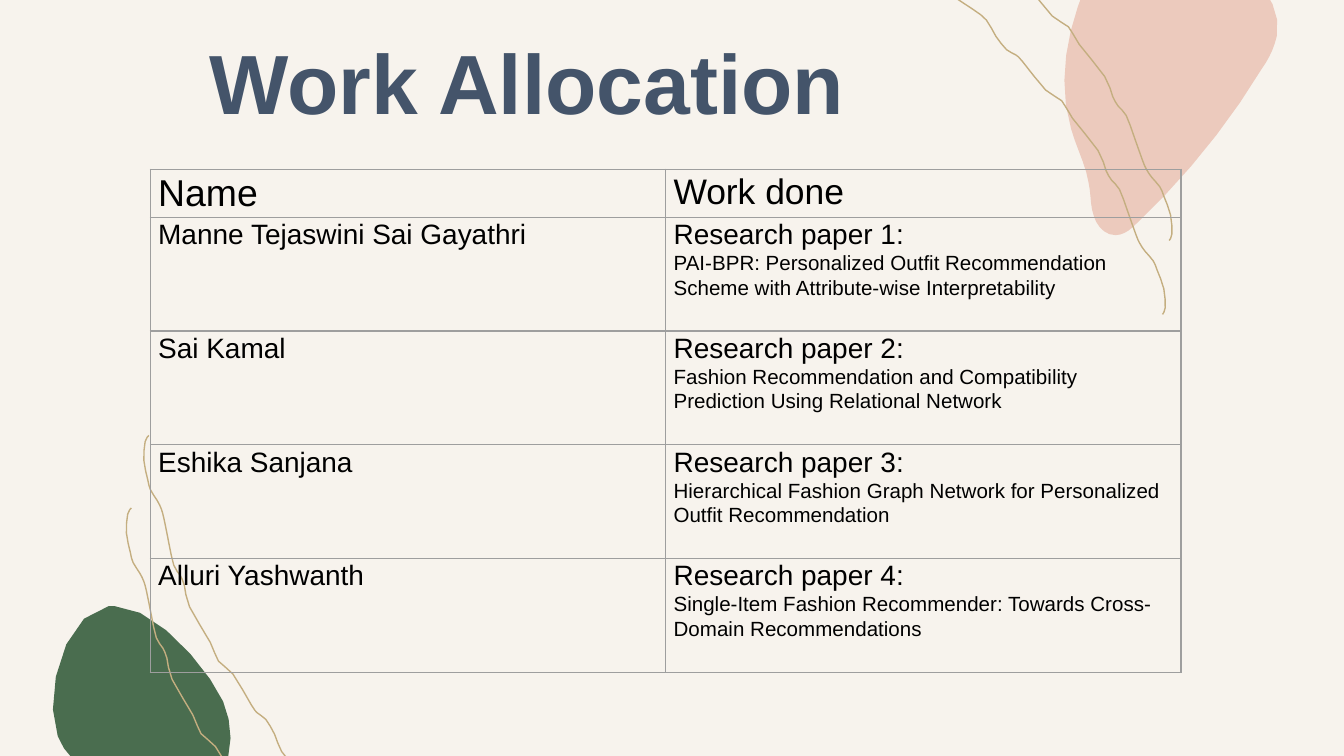
from lxml import etree
from pptx import Presentation
from pptx.dml.color import RGBColor
from pptx.enum.text import MSO_ANCHOR
from pptx.oxml.ns import qn
from pptx.util import Cm, Pt

MIDDLE = MSO_ANCHOR.MIDDLE

COLORS = {
    "paper": "F7F3ED", "blush": "ECCABD", "leaf": "4A6D4F", "gold": "C4AE80",
    "title": "44546A", "text": "000000", "border": "9E9E9E",
}
FONT = "Arial"

# Content
TITLE = "Work Allocation"
HEADERS = [("Name", 20), ("Work done", 19)]
ALLOCATION = [
    ("Manne Tejaswini Sai Gayathri",
     "PAI-BPR: Personalized Outfit Recommendation Scheme with Attribute-wise Interpretability"),
    ("Sai Kamal",
     "Fashion Recommendation and Compatibility Prediction Using Relational Network"),
    ("Eshika Sanjana",
     "Hierarchical Fashion Graph Network for Personalized Outfit Recommendation"),
    ("Alluri Yashwanth",
     "Single-Item Fashion Recommender: Towards Cross-Domain Recommendations"),
]

# Decoration on a fine drawing grid: blobs are a start point and Bezier triples
GRID = Cm(2.54) / 100
BLUSH_BLOB = [
    (854, -74),
    (852, -74), (849, -73), (847, -72), (826, -62), (809, -14), (802, 5),
    (792, 34), (788, 67), (797, 96), (801, 110), (808, 123), (810, 136),
    (812, 145), (811, 153), (814, 161), (816, 168), (822, 175), (830, 175),
    (836, 175), (841, 171), (845, 167), (881, 133), (913, 94), (939, 51),
    (944, 44), (948, 36), (950, 27), (954, 6), (939, -13), (923, -26),
    (908, -38), (891, -46), (877, -58), (869, -65), (863, -74), (854, -74),
]
LEAF_BLOB = [
    (85, 451),
    (84, 451), (82, 451), (81, 451), (46, 456), (32, 521), (43, 548),
    (49, 564), (64, 574), (79, 582), (93, 590), (110, 596), (126, 596),
    (137, 596), (147, 593), (156, 585), (174, 571), (175, 543), (166, 522),
    (155, 498), (116, 451), (85, 451),
]
# One wavy strand, measured from its own top left corner
STRAND = [
    (0, 0), (20, 13), (30, 21), (37, 33), (45, 43), (52, 47), (57, 52),
    (74, 73), (86, 81), (94, 94), (113, 118), (119, 133), (123, 140),
    (129, 147), (135, 163), (141, 180), (144, 187), (148, 193), (154, 200),
    (157, 207), (162, 221), (163, 235), (161, 240),
]
UPPER_STRANDS = [(704, -6), (709, -61)]
LOWER_STRANDS = [(91, 334), (78, 388)]
LOWER_TURN = 188.1


def bezier_outline(points, steps):
    outline = [points[0]]
    for i in range(0, len(points) - 1, 3):
        a, b, c, d = points[i:i + 4]
        for k in range(1, steps + 1):
            t = k / steps
            u = 1 - t
            outline.append(tuple(
                u**3 * a[n] + 3 * u * u * t * b[n] + 3 * u * t * t * c[n] + t**3 * d[n]
                for n in (0, 1)))
    return outline


def smooth_strand(knots):
    """Join the knots with Catmull-Rom curves, written as Bezier triples."""
    padded = [knots[0], *knots, knots[-1]]
    points = [knots[0]]
    for before, start, end, after in zip(padded, padded[1:], padded[2:], padded[3:]):
        points.append(tuple(s + (e - b) / 6 for b, s, e in zip(before, start, end)))
        points.append(tuple(e - (a - s) / 6 for s, e, a in zip(start, end, after)))
        points.append(end)
    return bezier_outline(points, steps=2)


def add_outline(slide, outline, origin=(0, 0), close=True):
    corners = [tuple(round((p + o) * GRID) for p, o in zip(point, origin))
               for point in outline]
    builder = slide.shapes.build_freeform(*corners[0])
    builder.add_line_segments(corners[1:], close=close)
    shape = builder.convert_to_shape()
    shape.shadow.inherit = False
    return shape


def style(paragraph, size, color="text", bold=False):
    paragraph.font.name = FONT
    paragraph.font.size = Pt(size)
    paragraph.font.bold = bold
    paragraph.font.color.rgb = RGBColor.from_string(COLORS[color])


def fill_cell(cell, lines):
    cell.margin_left = cell.margin_right = Cm(0.15)
    cell.margin_top = cell.margin_bottom = 0
    cell.text = "\n".join(text for text, _ in lines)
    for paragraph, (_, size) in zip(cell.text_frame.paragraphs, lines):
        paragraph.line_spacing = 1.07
        style(paragraph, size)
    properties = cell._tc.get_or_add_tcPr()
    for side in ("a:lnL", "a:lnR", "a:lnT", "a:lnB"):
        edge = etree.SubElement(properties, qn(side), w=str(Pt(0.75)))
        paint = etree.SubElement(edge, qn("a:solidFill"))
        etree.SubElement(paint, qn("a:srgbClr"), val=COLORS["border"])
    cell.fill.background()


prs = Presentation()
prs.slide_width, prs.slide_height = Cm(25.4), Cm(14.29)
slide = prs.slides.add_slide(prs.slide_layouts[6])
slide.background.fill.solid()
slide.background.fill.fore_color.rgb = RGBColor.from_string(COLORS["paper"])

# Blobs
for points, color in ((BLUSH_BLOB, "blush"), (LEAF_BLOB, "leaf")):
    blob = add_outline(slide, bezier_outline(points, steps=5))
    blob.fill.solid()
    blob.fill.fore_color.rgb = RGBColor.from_string(COLORS[color])
    blob.line.fill.background()

# Wavy strands
wave = smooth_strand(STRAND)
for origins, turn in ((UPPER_STRANDS, 0), (LOWER_STRANDS, LOWER_TURN)):
    for origin in origins:
        strand = add_outline(slide, wave, origin, close=False)
        strand.fill.background()
        strand.line.color.rgb = RGBColor.from_string(COLORS["gold"])
        strand.line.width = Pt(0.75)
        strand.rotation = turn

# Title
title = slide.shapes.add_textbox(Cm(3.71), 0, Cm(14.27), Cm(3.56)).text_frame
title.word_wrap = True
title.vertical_anchor = MIDDLE
title.margin_left = title.margin_right = title.margin_top = Cm(0.25)
title.margin_bottom = Cm(0.74)
title.text = TITLE
style(title.paragraphs[0], 45, "title", bold=True)

# Allocation table
HEADER_HEIGHT, ROW_HEIGHT, COLUMN_WIDTH = Cm(0.86), Cm(2.15), Cm(9.74)
rows = [[[header] for header in HEADERS]]
for number, (name, paper) in enumerate(ALLOCATION, 1):
    rows.append([[(name, 15)], [(f"Research paper {number}:", 15), (paper, 11)]])
table = slide.shapes.add_table(
    len(rows), len(HEADERS), Cm(2.84), Cm(3.2), COLUMN_WIDTH * len(HEADERS),
    HEADER_HEIGHT + ROW_HEIGHT * len(ALLOCATION)).table
table.first_row = table.horz_banding = False
for column in table.columns:
    column.width = COLUMN_WIDTH
for r, row in enumerate(rows):
    table.rows[r].height = ROW_HEIGHT if r else HEADER_HEIGHT
    for c, lines in enumerate(row):
        fill_cell(table.cell(r, c), lines)

prs.save("out.pptx")
